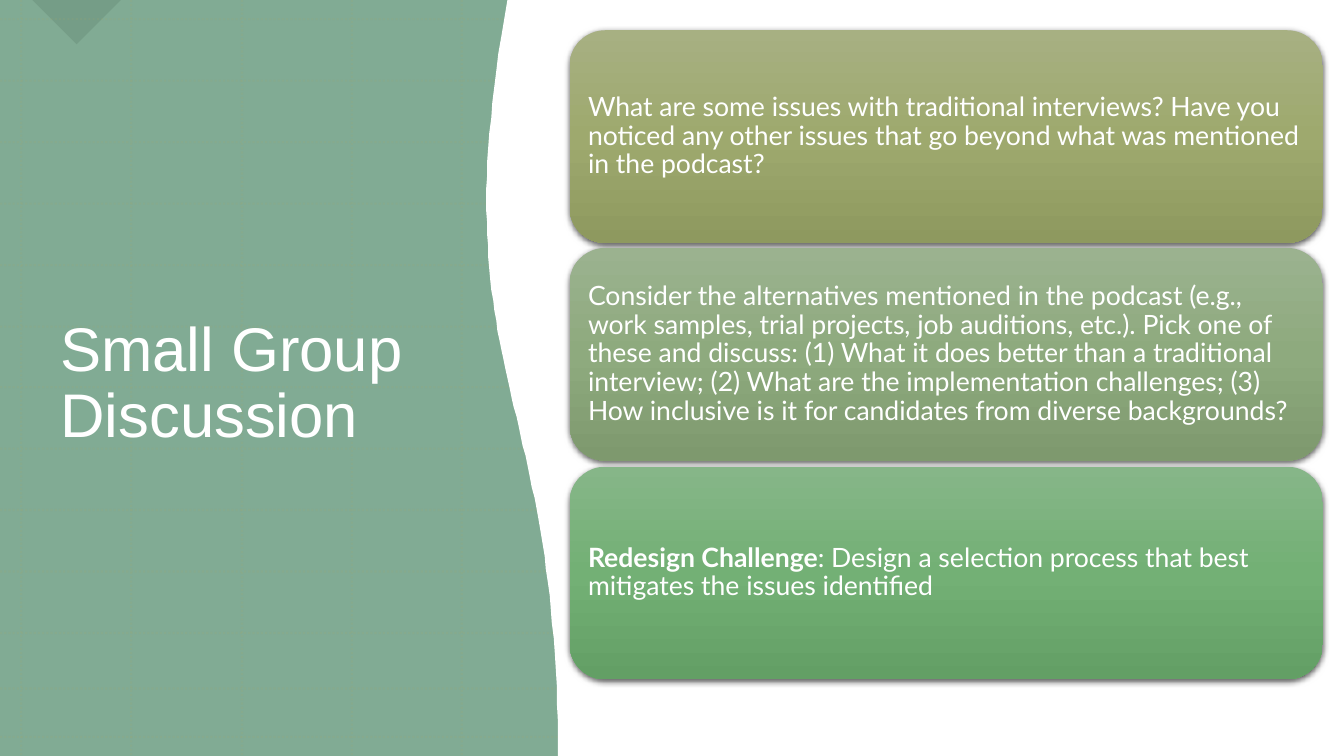
from pptx import Presentation
from pptx import util as u
from pptx.dml.color import RGBColor
from pptx.enum import dml, shapes, text
from pptx.oxml import parse_xml
from pptx.oxml.ns import nsdecls, qn
from copy import deepcopy
from lxml import etree

PX = 9144  # EMU per px, 100 px to the inch
WIDE, HIGH = 1333, 750
HEX = {
    "sage": "81AB94", "dark": "3C5A4A", "grid": "9CA671", "white": "FFFFFF",
    "olive": ("A7B082", "9EA96E", "8E995F"),
    "moss": ("9BB28F", "8EAA7E", "7E996E"),
    "green": ("86B688", "73B075", "639F65"),
}
CARDS = [
    ("olive", [("What are some issues with traditional interviews? Have you noticed "
                "any other issues that go beyond what was mentioned in the podcast?", False)]),
    ("moss", [("Consider the alternatives mentioned in the podcast (e.g., work samples, "
               "trial projects, job auditions, etc.). Pick one of these and discuss: "
               "(1) What it does better than a traditional interview; (2) What are the "
               "implementation challenges; (3) How inclusive is it for candidates from "
               "diverse backgrounds?", False)]),
    ("green", [("Redesign Challenge", True),
               (": Design a selection process that best mitigates the issues identified", False)]),
]


def rgb(name):
    return RGBColor.from_string(HEX[name])


def fade(fill, alpha):
    """Make a solid fill see-through; alpha is in percent."""
    tone = fill._xPr.find(".//" + qn("a:srgbClr"))
    etree.SubElement(tone, qn("a:alpha")).set("val", str(alpha * 1000))


def bezier(a, b, c, d, steps=60):
    """Points along a cubic curve from a to d."""
    for i in range(steps + 1):
        t = i / steps
        s = 1 - t
        yield tuple(round(s**3 * p + 3 * s * s * t * q + 3 * s * t * t * r + t**3 * e, 2)
                    for p, q, r, e in zip(a, b, c, d))


class Deck:
    def __init__(self):
        self.prs = Presentation()
        self.prs.slide_width, self.prs.slide_height = WIDE * PX, HIGH * PX
        self.slide = self.prs.slides.add_slide(self.prs.slide_layouts[6])
        self.items = self.slide.shapes

    def shape(self, kind, box, color=None, alpha=None):
        item = self.items.add_shape(kind, *(n * PX for n in box))
        item.shadow.inherit = False
        item.line.fill.background()
        if color:
            item.fill.solid()
            item.fill.fore_color.rgb = rgb(color)
        if alpha:
            fade(item.fill, alpha)
        return item

    def rule(self, x1, y1, x2, y2):
        """Draw a faint dotted grid line."""
        line = self.items.add_connector(
            shapes.MSO_CONNECTOR.STRAIGHT, *(n * PX for n in (x1, y1, x2, y2)))
        line.line.width = u.Pt(1.5)
        line.line.color.rgb = rgb("grid")
        line.line.dash_style = dml.MSO_LINE.ROUND_DOT
        fade(line.line.fill, 20)
        etree.SubElement(line._element.spPr, qn("a:effectLst"))

    def panel(self, points):
        """Draw a closed white outline."""
        first, *rest = points
        build = self.items.build_freeform(*first, scale=PX)
        build.add_line_segments(rest, close=True)
        item = build.convert_to_shape()
        item.shadow.inherit = False
        item.fill.solid()
        item.fill.fore_color.rgb = item.line.color.rgb = rgb("white")
        item.line.width = u.Pt(1)

    def label(self, item, runs, font, size):
        """Fill a shape with left-aligned white runs."""
        frame = item.text_frame
        frame.word_wrap = True
        frame.vertical_anchor = text.MSO_ANCHOR.MIDDLE
        para = frame.paragraphs[0]
        para.alignment = text.PP_ALIGN.LEFT
        para.line_spacing = 0.9
        for words, bold in runs:
            run = para.add_run()
            run.text = words
            run.font.name, run.font.size, run.font.bold = font, u.Pt(size), bold
            run.font.color.rgb = rgb("white")

    def title(self, words, box):
        item = self.items.add_textbox(*(n * PX for n in box))
        self.label(item, [(words, False)], "Arial", 44)

    def card(self, box, tone, runs):
        item = self.shape(shapes.MSO_SHAPE.ROUNDED_RECTANGLE, box)
        item.fill.gradient()
        item.fill.gradient_angle = 270
        stops = item._element.spPr.find(".//" + qn("a:gsLst"))
        stops.insert(1, deepcopy(stops[0]))
        for i, stop in enumerate(item.fill.gradient_stops):
            stop.position = i / 2
            stop.color.rgb = RGBColor.from_string(HEX[tone][i])
        item._element.spPr.find(qn("a:effectLst")).append(parse_xml(
            f'<a:outerShdw {nsdecls("a")} blurRad="{u.Pt(4.5)}" dist="{u.Pt(1.5)}" '
            'dir="5400000" algn="ctr" rotWithShape="0"><a:srgbClr val="000000">'
            '<a:alpha val="63000"/></a:srgbClr></a:outerShdw>'))
        frame = item.text_frame
        frame.margin_left = frame.margin_right = 8 * PX
        frame.margin_top = frame.margin_bottom = 8 * PX
        self.label(item, runs, "Lato", 19)


def main():
    deck = Deck()
    deck.shape(shapes.MSO_SHAPE.RECTANGLE, (0, 0, WIDE, HIGH), "sage")
    notch = deck.shape(shapes.MSO_SHAPE.RIGHT_TRIANGLE, (45, -31, 62, 62), "dark", 17)
    notch.rotation = 315

    for i in range(5):
        x = round(21 + 109.3 * i)
        deck.rule(x, 0, x, HIGH)
    for y in [round(19 + 60.9 * i) for i in range(11)] + [683, 731]:
        deck.rule(0, y, WIDE, y)

    deck.title("Small Group Discussion", (50, 79, 408, 605))
    wave = bezier((554, 750), (554, 376), (437, 374), (504, 0))
    deck.panel([(WIDE, 0), (WIDE, HIGH), *wave])
    for i, (tone, runs) in enumerate(CARDS):
        deck.card((565, round(30 + 216.5 * i), 747, 211), tone, runs)
    deck.prs.save("out.pptx")


if __name__ == "__main__":
    main()
